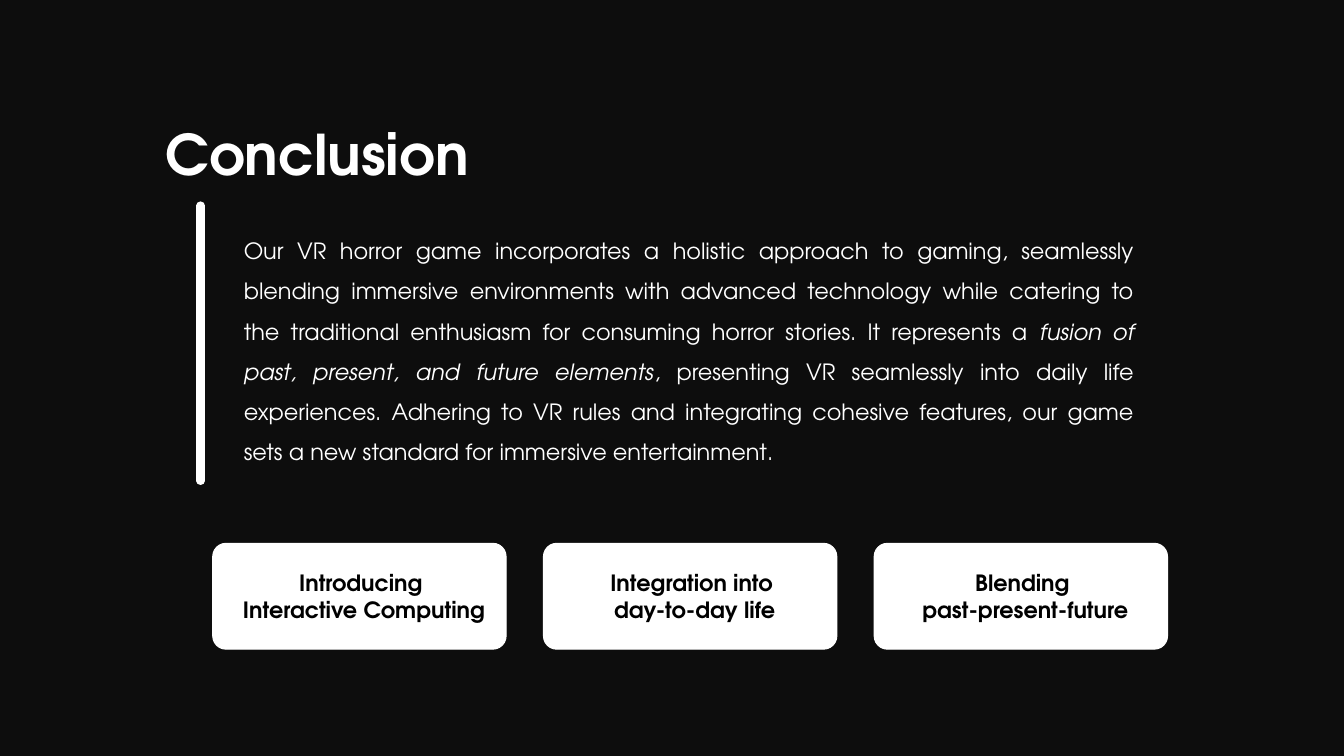
from lxml import etree
from pptx import Presentation
from pptx.dml.color import RGBColor
from pptx.enum import shapes, text
from pptx.oxml import ns
from pptx.util import Inches, Pt

FONT = "TeX Gyre Adventor"
NIGHT = RGBColor(0x0D, 0x0D, 0x0D)
WHITE = RGBColor(0xFF, 0xFF, 0xFF)
BLACK = RGBColor(0x00, 0x00, 0x00)

# Each span is its wording and whether it is italic.
SUMMARY = [
    ("Our VR horror game incorporates a holistic approach to gaming, seamlessly "
     "blending immersive environments with advanced technology while catering to "
     "the traditional enthusiasm for consuming horror stories. It represents a ", False),
    ("fusion of past, present, and future elements", True),
    (", presenting VR seamlessly into daily life experiences. Adhering to VR rules "
     "and integrating cohesive features, our game sets a new standard for immersive "
     "entertainment.", False),
]
CARDS = [
    ("Introducing ", "Interactive Computing"),
    ("Integration into ", "day-to-day life"),
    ("Blending ", "past-present-future"),
]
CARD_LEFT, CARD_STEP = 2.11, 3.28


def style(para, size, color, align, bold=False):
    para.alignment = align
    para.font.name = FONT
    para.font.size = Pt(size)
    para.font.bold = bold
    para.font.color.rgb = color


def set_title(page, wording):
    title = page.shapes.title
    title.left, title.top = Inches(1.54), Inches(0.8)
    title.width, title.height = Inches(10.03), Inches(0.99)
    frame = title.text_frame
    frame.text = wording
    frame.auto_size = text.MSO_AUTO_SIZE.NONE
    frame.vertical_anchor = text.MSO_ANCHOR.TOP
    para = frame.paragraphs[0]
    style(para, 40, WHITE, text.PP_ALIGN.JUSTIFY, bold=True)
    para.line_spacing = 1.5


def add_summary(page, spans):
    box = page.shapes.add_textbox(Inches(2.32), Inches(2.17), Inches(9.03), Inches(2.47))
    box.text_frame.word_wrap = True
    para = box.text_frame.paragraphs[0]
    style(para, 16, WHITE, text.PP_ALIGN.JUSTIFY)
    para.line_spacing = 1.5
    for wording, italic in spans:
        span = para.add_run()
        span.text = wording
        span.font.italic = italic


def add_card(page, left, lines):
    card = page.shapes.add_shape(
        shapes.MSO_SHAPE.ROUNDED_RECTANGLE,
        Inches(left), Inches(5.39), Inches(2.91), Inches(1.05))
    card.adjustments[0] = 0.125
    card.shadow.inherit = False
    card.fill.solid()
    card.fill.fore_color.rgb = WHITE
    card.line.color.rgb = WHITE
    card.line.width = Pt(0.75)
    frame = card.text_frame
    frame.text = "\n".join(lines)
    frame.word_wrap = True
    frame.vertical_anchor = text.MSO_ANCHOR.MIDDLE
    for para in frame.paragraphs:
        style(para, 16, BLACK, text.PP_ALIGN.CENTER, bold=True)
        para._p.get_or_add_pPr().set("marL", str(Inches(0.09)))


def add_accent_bar(page):
    """Draw the thick, round-ended line beside the summary."""
    bar = page.shapes.add_connector(
        shapes.MSO_CONNECTOR.STRAIGHT,
        Inches(1.99), Inches(2.04), Inches(1.99), Inches(4.77))
    bar.line.color.rgb = WHITE
    bar.line.width = Pt(6)
    outline = bar.get_or_add_ln()
    outline.set("cap", "rnd")
    etree.SubElement(outline, ns.qn("a:round"))
    etree.SubElement(bar._element.spPr, ns.qn("a:effectLst"))


def main():
    deck = Presentation()
    deck.slide_width, deck.slide_height = Inches(13.33), Inches(7.5)
    page = deck.slides.add_slide(deck.slide_layouts.get_by_name("Title Only"))
    page.background.fill.solid()
    page.background.fill.fore_color.rgb = NIGHT

    set_title(page, "Conclusion")
    add_summary(page, SUMMARY)
    for column, lines in enumerate(CARDS):
        add_card(page, CARD_LEFT + column * CARD_STEP, lines)
    add_accent_bar(page)
    deck.save("out.pptx")


if __name__ == "__main__":
    main()
